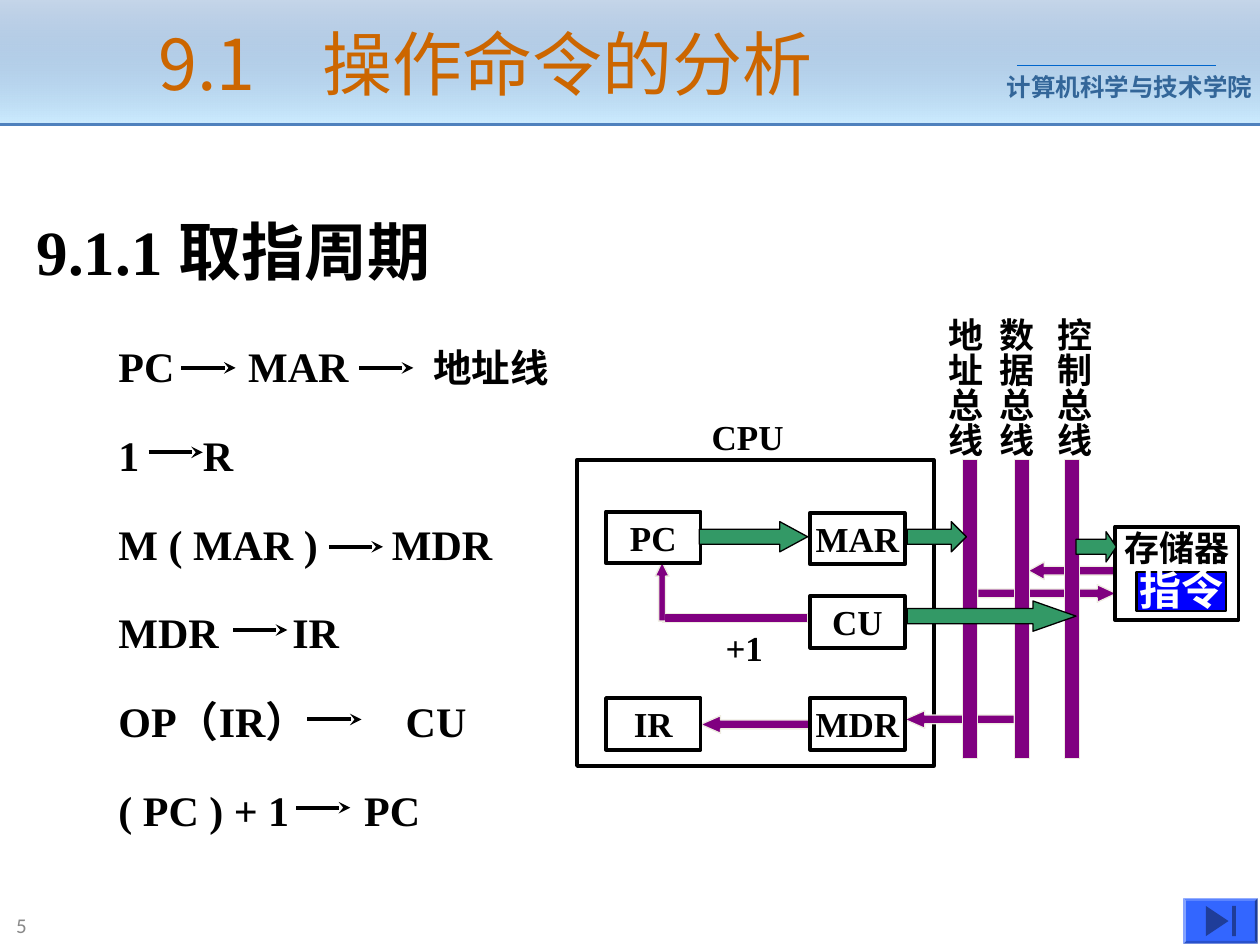
from lxml import etree
from pptx import Presentation
from pptx.dml.color import RGBColor
from pptx.enum.shapes import MSO_CONNECTOR, MSO_SHAPE as Preset
from pptx.enum.text import MSO_ANCHOR as Anchor, PP_ALIGN as Align
from pptx.oxml.ns import qn
from pptx.util import Inches, Pt

BLACK = RGBColor(0x00, 0x00, 0x00)
WHITE = RGBColor(0xFF, 0xFF, 0xFF)
ORANGE = RGBColor(0xCC, 0x66, 0x00)
HEADER_BLUE = RGBColor(0x4F, 0x81, 0xBD)
PALE_BLUE = RGBColor(0xCC, 0xEC, 0xFF)
COLLEGE_BLUE = RGBColor(0x33, 0x66, 0x99)
RULE_BLUE = RGBColor(0x00, 0x66, 0xCC)
BUTTON_BLUE = RGBColor(0x33, 0x66, 0xFF)
ICON_BLUE = RGBColor(0x1F, 0x3D, 0x99)
LABEL_BLUE = RGBColor(0x00, 0x00, 0xFF)
GRAY = RGBColor(0x89, 0x89, 0x89)
PURPLE = RGBColor(0x80, 0x00, 0x80)
CREAM = RGBColor(0xEE, 0xEC, 0xE1)
GREEN = RGBColor(0x33, 0x99, 0x66)
SERIF = "Times New Roman"
SANS = "Noto Sans CJK SC"

presentation = Presentation()
presentation.slide_width = Inches(10)
presentation.slide_height = Inches(7.5)
slide = presentation.slides.add_slide(presentation.slide_layouts[6])


def add_shape(preset, box, fill=None, line=None, width=0.75, adjust=()):
    shape = slide.shapes.add_shape(preset, *[Inches(value) for value in box])
    shape.shadow.inherit = False
    if fill is None:
        shape.fill.background()
    else:
        shape.fill.solid()
        shape.fill.fore_color.rgb = fill
    if line is None:
        shape.line.fill.background()
    else:
        shape.line.color.rgb = line
        shape.line.width = Pt(width)
    for index, value in enumerate(adjust):
        shape.adjustments[index] = value
    return shape


def write(shape, text, size, color=BLACK, font=SERIF, bold=True, align=Align.LEFT,
          anchor=Anchor.MIDDLE, margins=(0, 0), wrap=True, tabs=()):
    frame = shape.text_frame
    frame.text = text
    frame.word_wrap = wrap
    frame.vertical_anchor = anchor
    frame.margin_left = frame.margin_right = Inches(margins[0])
    frame.margin_top = frame.margin_bottom = Inches(margins[1])
    paragraph = frame.paragraphs[0]
    paragraph.alignment = align
    if tabs:
        tab_list = etree.SubElement(paragraph._p.get_or_add_pPr(), qn("a:tabLst"))
        for position in tabs:
            etree.SubElement(tab_list, qn("a:tab"), pos=str(Inches(position)), algn="l")
    for run in paragraph.runs:
        run.font.size = Pt(size)
        run.font.bold = bold
        run.font.name = font
        run.font.color.rgb = color
        etree.SubElement(run._r.get_or_add_rPr(), qn("a:ea"), typeface=SANS)
    return frame


header = add_shape(Preset.RECTANGLE, (0, 0, 10, 0.99))
header.fill.gradient()
header.fill.gradient_angle = 270
for stop, color in zip(header.fill.gradient_stops, (HEADER_BLUE, PALE_BLUE)):
    stop.color.rgb = color
first_color = header._element.spPr.find(".//" + qn("a:srgbClr"))
etree.SubElement(first_color, qn("a:alpha"), val="32000")

texts = [
    ((7.99, 0.52, 1.97, 0.34), "计算机科学与技术学院", 14,
     dict(color=COLLEGE_BLUE, font="Arial", anchor=Anchor.TOP, margins=(0, 0.05))),
    ((0.03, 7.18, 2.21, 0.32), "5", 12,
     dict(color=GRAY, font="Calibri", bold=False, margins=(0.1, 0.05))),
    ((1.26, 0, 6.33, 0.99), "9.1\t操作命令的分析", 40,
     dict(color=ORANGE, font=SANS, bold=False, margins=(0, 0.05), tabs=[1.3])),
    ((0.29, 1.75, 4.46, 0.47), "9.1.1 取指周期", 36, {}),
]
for box, text, size, options in texts:
    text_box = slide.shapes.add_textbox(*[Inches(value) for value in box])
    write(text_box, text, size, **options)

lines = [
    (8.07, 0.52, 9.65, 0.52, RULE_BLUE, 0.75, False),
    (0, 0.99, 10, 0.99, HEADER_BLUE, 1.5, False),
]
micro_operations = [
    ("PC\tMAR\t", [1.03, 2.5], [1.44, 2.85], 2.92),
    ("1\tR", [0.67], [1.18], 3.59),
    ("M ( MAR )\tMDR", [2.17], [2.61], 4.34),
    ("MDR\tIR", [1.38], [1.85], 5),
    ("OP（IR）\tCU", [2.28], [2.44], 5.71),
    ("( PC ) + 1\tPC", [1.95], [2.35], 6.41),
]
for row, (text, tabs, arrow_starts, arrow_y) in enumerate(micro_operations):
    text_box = slide.shapes.add_textbox(
        Inches(0.94), Inches(2.67) + row * Inches(0.704), Inches(4.72), Inches(0.47))
    frame = write(text_box, text, 24, tabs=tabs)
    if row == 0:
        run = frame.paragraphs[0].add_run()
        run.text = "地址线"
        run.font.size = Pt(22)
        run.font.bold = True
        run.font.name = SERIF
        run.font.color.rgb = BLACK
        etree.SubElement(run._r.get_or_add_rPr(), qn("a:ea"), typeface=SANS)
    for start in arrow_starts:
        lines.append((start, arrow_y, start + 0.43, arrow_y, BLACK, 2.25, True))

for x1, y1, x2, y2, color, width, arrow in lines:
    connector = slide.shapes.add_connector(
        MSO_CONNECTOR.STRAIGHT, Inches(x1), Inches(y1), Inches(x2), Inches(y2))
    connector.line.color.rgb = color
    connector.line.width = Pt(width)
    if arrow:
        etree.SubElement(connector.line._get_or_add_ln(), qn("a:tailEnd"), type="stealth")
    etree.SubElement(connector._element.spPr, qn("a:effectLst"))

add_shape(Preset.RECTANGLE, (4.58, 3.65, 2.83, 2.43), line=BLACK, width=2.25)
add_shape(Preset.RECTANGLE, (5.26, 4.87, 1.15, 0.07), PURPLE, CREAM)
add_shape(Preset.UP_ARROW, (5.2, 4.46, 0.11, 0.47), PURPLE, CREAM, adjust=(0.5, 1.03))
add_shape(Preset.RECTANGLE, (5.28, 4.88, 0.03, 0.05), PURPLE, PURPLE)

purple_arrows = [
    (Preset.RIGHT_ARROW, 7.18, 4.19, 0.46, 0.61),
    (Preset.RIGHT_ARROW, 5.56, 4.19, 0.86, 1.14),
    (Preset.LEFT_ARROW, 7.18, 5.64, 0.87, 1.14),
    (Preset.RIGHT_ARROW, 7.18, 4.83, 1.27, 0.98),
    (Preset.RIGHT_ARROW, 7.76, 4.64, 1.1, 1.08),
    (Preset.LEFT_ARROW, 8.16, 4.46, 0.69, 0.91),
    (Preset.RIGHT_ARROW, 8.51, 4.26, 0.35, 0.45),
    (Preset.LEFT_ARROW, 5.56, 5.68, 0.86, 1.14),
]
for preset, left, top, width, head in purple_arrows:
    add_shape(preset, (left, top, width, 0.14), PURPLE, CREAM, adjust=(0.5, head))

registers = [("PC", 4.81, 4.06), ("MAR", 6.43, 4.07), ("CU", 6.43, 4.73),
             ("IR", 4.81, 5.54), ("MDR", 6.43, 5.54)]
for name, left, top in registers:
    register = add_shape(Preset.RECTANGLE, (left, top, 0.75, 0.41), line=BLACK, width=2.25)
    write(register, name, 20, align=Align.CENTER)

buses = [("地址总线", 7.64, 7.34), ("数据总线", 8.05, 7.75), ("控制总线", 8.45, 8.21)]
for name, bus_left, label_left in buses:
    add_shape(Preset.RECTANGLE, (bus_left, 3.65, 0.12, 2.37), PURPLE, CREAM)
    label = slide.shapes.add_textbox(
        Inches(label_left), Inches(2.42), Inches(0.53), Inches(1.22))
    frame = write(label, name, 20, anchor=Anchor.TOP, margins=(0.05, 0.1), wrap=False)
    frame._txBody.bodyPr.set("vert", "eaVert")

for text, left, top, width in [("CPU", 5.55, 3.25, 0.84), ("+1", 5.66, 4.92, 1.21)]:
    label = slide.shapes.add_textbox(Inches(left), Inches(top), Inches(width), Inches(0.44))
    write(label, text, 20, anchor=Anchor.TOP, margins=(0.1, 0.05))

memory = add_shape(Preset.RECTANGLE, (8.85, 4.18, 0.98, 0.74), line=BLACK, width=2.25)
write(memory, "存储器", 20, align=Align.CENTER, anchor=Anchor.TOP)
instruction = add_shape(Preset.RECTANGLE, (9.02, 4.54, 0.71, 0.31), LABEL_BLUE, BLACK, 1.5)
frame = write(instruction, "指令", 24, WHITE, SANS, align=Align.CENTER, wrap=False)
frame.paragraphs[0].line_spacing = 0.9

green_arrows = [(5.55, 4.14, 0.86, 0.92), (7.2, 4.14, 0.47, 0.5),
                (7.2, 4.77, 1.34, 1.42), (8.54, 4.22, 0.32, 0.34)]
for left, top, width, head in green_arrows:
    add_shape(Preset.RIGHT_ARROW, (left, top, width, 0.24), GREEN, BLACK, adjust=(0.5, head))

add_shape(Preset.BEVEL, (9.39, 7.13, 0.59, 0.36), BUTTON_BLUE, adjust=(0.06,))
builder = slide.shapes.build_freeform(Inches(9.75), Inches(7.31))
builder.add_line_segments([(Inches(9.57), Inches(7.43)), (Inches(9.57), Inches(7.19))])
triangle = builder.convert_to_shape()
triangle.shadow.inherit = False
triangle.fill.solid()
triangle.fill.fore_color.rgb = ICON_BLUE
triangle.line.fill.background()
add_shape(Preset.RECTANGLE, (9.78, 7.19, 0.03, 0.24), ICON_BLUE)

presentation.save("out.pptx")
